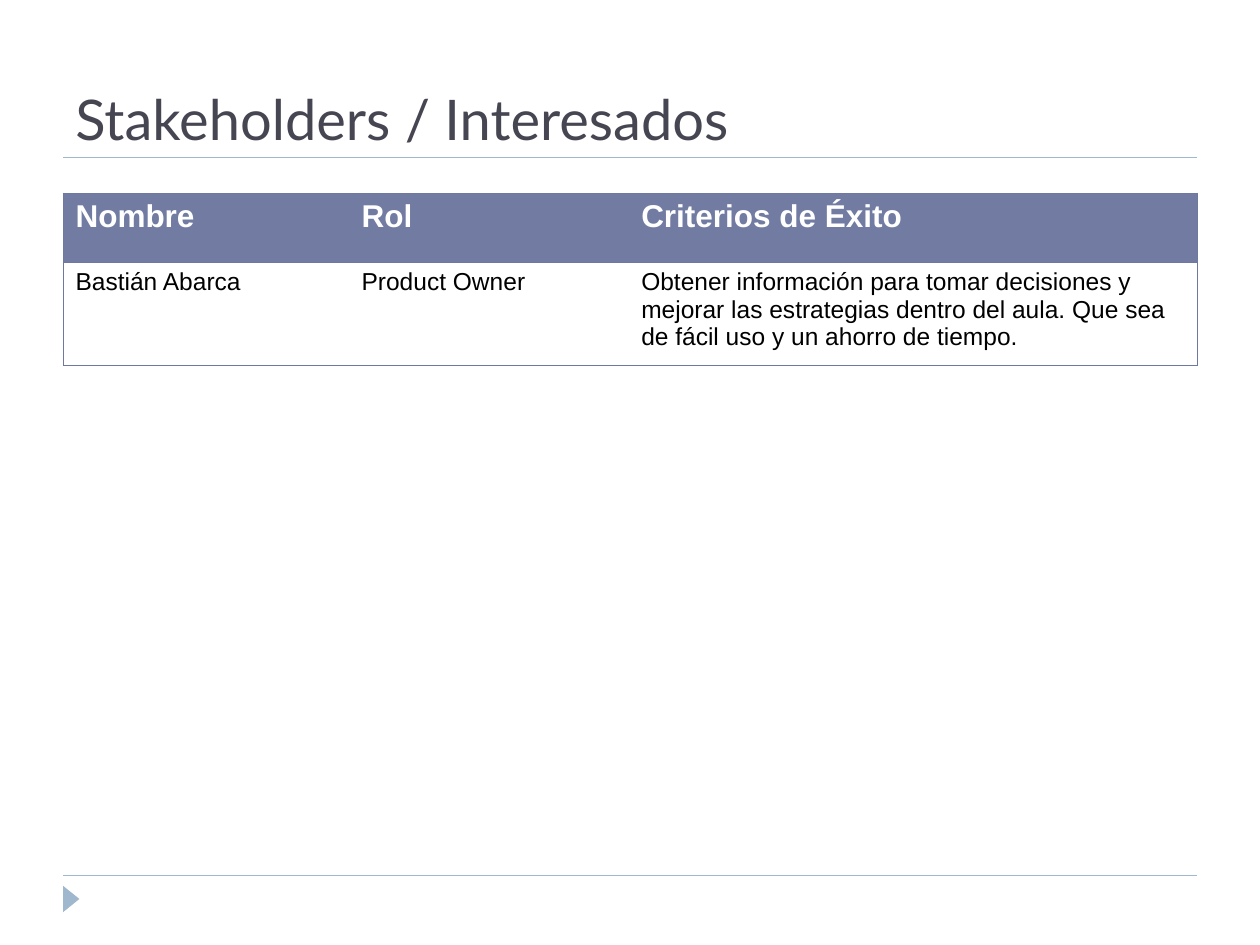
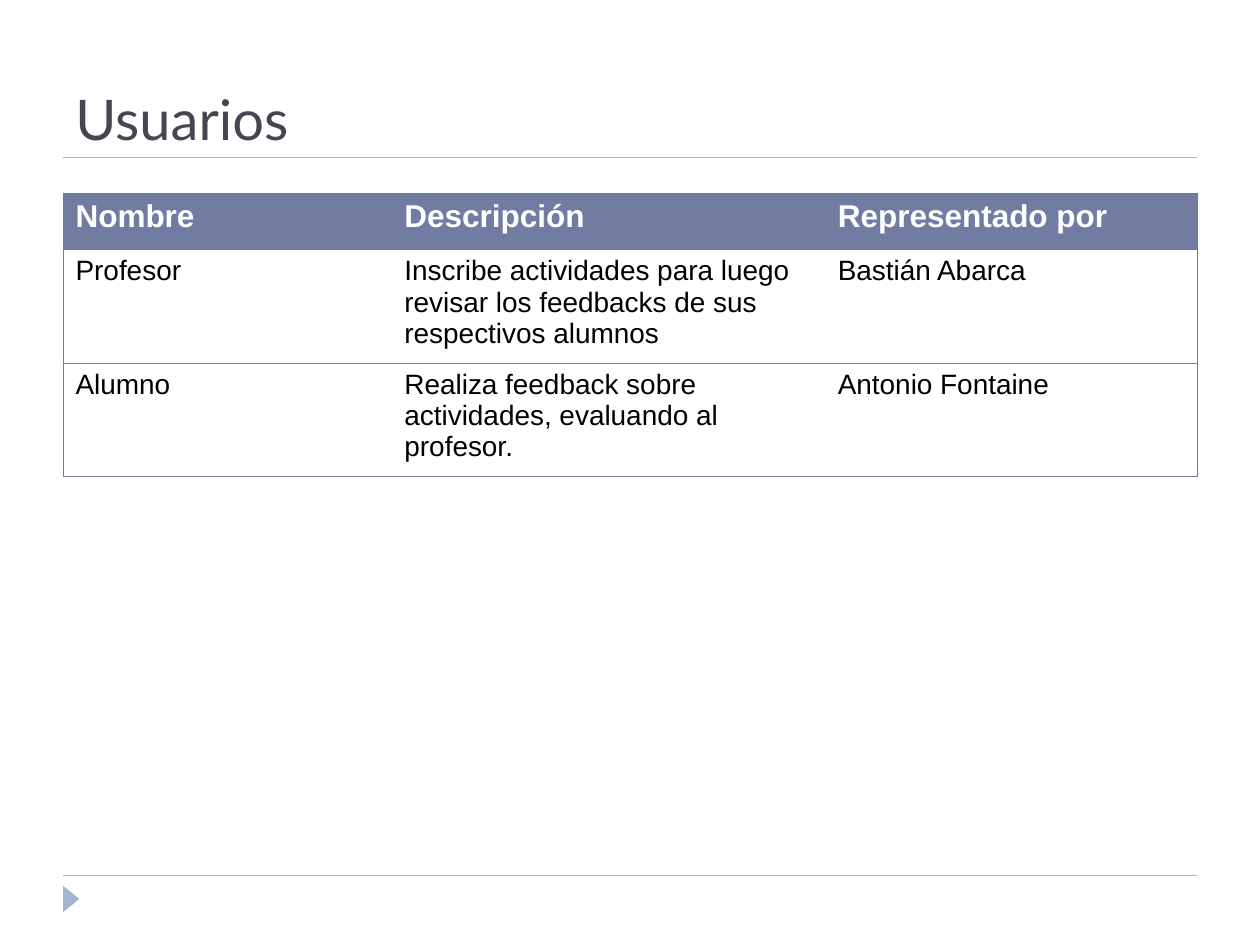
from dataclasses import dataclass

from lxml import etree
from pptx import Presentation
from pptx.dml.color import RGBColor
from pptx.enum.shapes import MSO_CONNECTOR, MSO_SHAPE
from pptx.enum.text import MSO_ANCHOR
from pptx.oxml.ns import qn
from pptx.util import Emu, Inches, Pt

STRAIGHT = MSO_CONNECTOR.STRAIGHT
TRIANGLE = MSO_SHAPE.ISOSCELES_TRIANGLE
BOTTOM = MSO_ANCHOR.BOTTOM

WIDTH, HEIGHT = Inches(10), Inches(7.5)
COL, ROW = WIDTH / 20, HEIGHT / 30
LEFT, SPAN = 1, 18
TITLE_TOP, TITLE_LINE, FOOTER_LINE = 0.68, 5, 27.8
TABLE_TOP = 6.12
MARKER = (0.92, 28.28, 0.42, 0.52)

ACCENT = RGBColor(0x9F, 0xB8, 0xCD)
TITLE_COLOR = RGBColor(0x46, 0x46, 0x53)
HEADER_FILL = RGBColor(0x72, 0x7C, 0xA3)
BORDER = RGBColor(0x6E, 0x78, 0xA0)
WHITE = RGBColor(0xFF, 0xFF, 0xFF)
BLACK = RGBColor(0, 0, 0)

TITLE_FONT, BODY_FONT = "Lato", "Arial"
TITLE_SIZE, HEADER_SIZE = 32, 18
BORDER_WIDTH = Pt(0.34)


@dataclass(frozen=True)
class TableSlide:
    title: str
    cols: tuple[float, ...]
    rows: tuple[float, ...]
    body_size: int
    cells: tuple[tuple[str, ...], ...]


SLIDES = (
    TableSlide(
        "Stakeholders / Interesados", (4.54, 4.44, 9.02), (2.2, 3.28), 14,
        (("Nombre", "Rol", "Criterios de Éxito"),
         ("Bastián Abarca", "Product Owner",
          "Obtener información para tomar decisiones y mejorar las estrategias "
          "dentro del aula. Que sea de fácil uso y un ahorro de tiempo."))),
    TableSlide(
        "Usuarios", (5.22, 6.88, 5.9), (1.8, 3.6, 3.6), 16,
        (("Nombre", "Descripción", "Representado por"),
         ("Profesor",
          "Inscribe actividades para luego revisar los feedbacks de sus "
          "respectivos alumnos", "Bastián Abarca"),
         ("Alumno", "Realiza feedback sobre actividades, evaluando al profesor.",
          "Antonio Fontaine"))),
)


def x(cols: float) -> Emu:
    return Emu(round(cols * COL))


def y(rows: float) -> Emu:
    return Emu(round(rows * ROW))


def add_run(tf, text: str, font: str, size: int, color: RGBColor, bold: bool = False) -> None:
    r = tf.paragraphs[0].add_run()
    r.text = text
    r.font.name, r.font.size, r.font.bold = font, Pt(size), bold
    r.font.color.rgb = color


def add_rule(s, row: float) -> None:
    line = s.shapes.add_connector(STRAIGHT, x(LEFT), y(row), x(LEFT + SPAN), y(row))
    line.line.color.rgb = ACCENT
    line.line.width = Pt(0.75)
    etree.SubElement(line._element.spPr, qn("a:effectLst"))


def add_frame(s) -> None:
    for row in (FOOTER_LINE, TITLE_LINE):
        add_rule(s, row)
    left, top, width, height = MARKER
    sp = s.shapes.add_shape(TRIANGLE, x(left), y(top), x(width), y(height))
    sp.rotation = 90
    sp.shadow.inherit = False
    sp.fill.solid()
    sp.fill.fore_color.rgb = ACCENT
    sp.line.fill.background()


def add_title(s, text: str) -> None:
    box = s.shapes.add_textbox(x(LEFT), y(TITLE_TOP), x(SPAN), y(TITLE_LINE - TITLE_TOP))
    tf = box.text_frame
    tf.word_wrap = True
    tf.vertical_anchor = BOTTOM
    add_run(tf, text, TITLE_FONT, TITLE_SIZE, TITLE_COLOR)


def set_borders(cell, first: bool, last: bool) -> None:
    tc_pr = cell._tc.get_or_add_tcPr()
    sides = (("L", first), ("R", last), ("T", True), ("B", True))
    for i, (side, visible) in enumerate(sides):
        ln = etree.Element(qn(f"a:ln{side}"), w=str(BORDER_WIDTH))
        if visible:
            fill = etree.SubElement(ln, qn("a:solidFill"))
            etree.SubElement(fill, qn("a:srgbClr"), val=str(BORDER))
        else:
            etree.SubElement(ln, qn("a:noFill"))
        tc_pr.insert(i, ln)


def add_grid(s, spec: TableSlide) -> None:
    n_rows, n_cols = len(spec.rows), len(spec.cols)
    table = s.shapes.add_table(n_rows, n_cols, x(LEFT), y(TABLE_TOP),
                               x(SPAN), y(sum(spec.rows))).table
    table.horz_banding = False
    for column, width in zip(table.columns, spec.cols):
        column.width = x(width)
    for row, height in zip(table.rows, spec.rows):
        row.height = y(height)
    for i, texts in enumerate(spec.cells):
        for j, text in enumerate(texts):
            cell = table.cell(i, j)
            if i == 0:
                cell.fill.solid()
                cell.fill.fore_color.rgb = HEADER_FILL
                add_run(cell.text_frame, text, BODY_FONT, HEADER_SIZE, WHITE, True)
            else:
                cell.fill.background()
                add_run(cell.text_frame, text, BODY_FONT, spec.body_size, BLACK)
            set_borders(cell, j == 0, j == n_cols - 1)


def main() -> None:
    prs = Presentation()
    prs.slide_width, prs.slide_height = WIDTH, HEIGHT
    blank = prs.slide_layouts[6]
    for content in SLIDES:
        s = prs.slides.add_slide(blank)
        add_frame(s)
        add_title(s, content.title)
        add_grid(s, content)
    prs.save("out.pptx")


if __name__ == "__main__":
    main()
